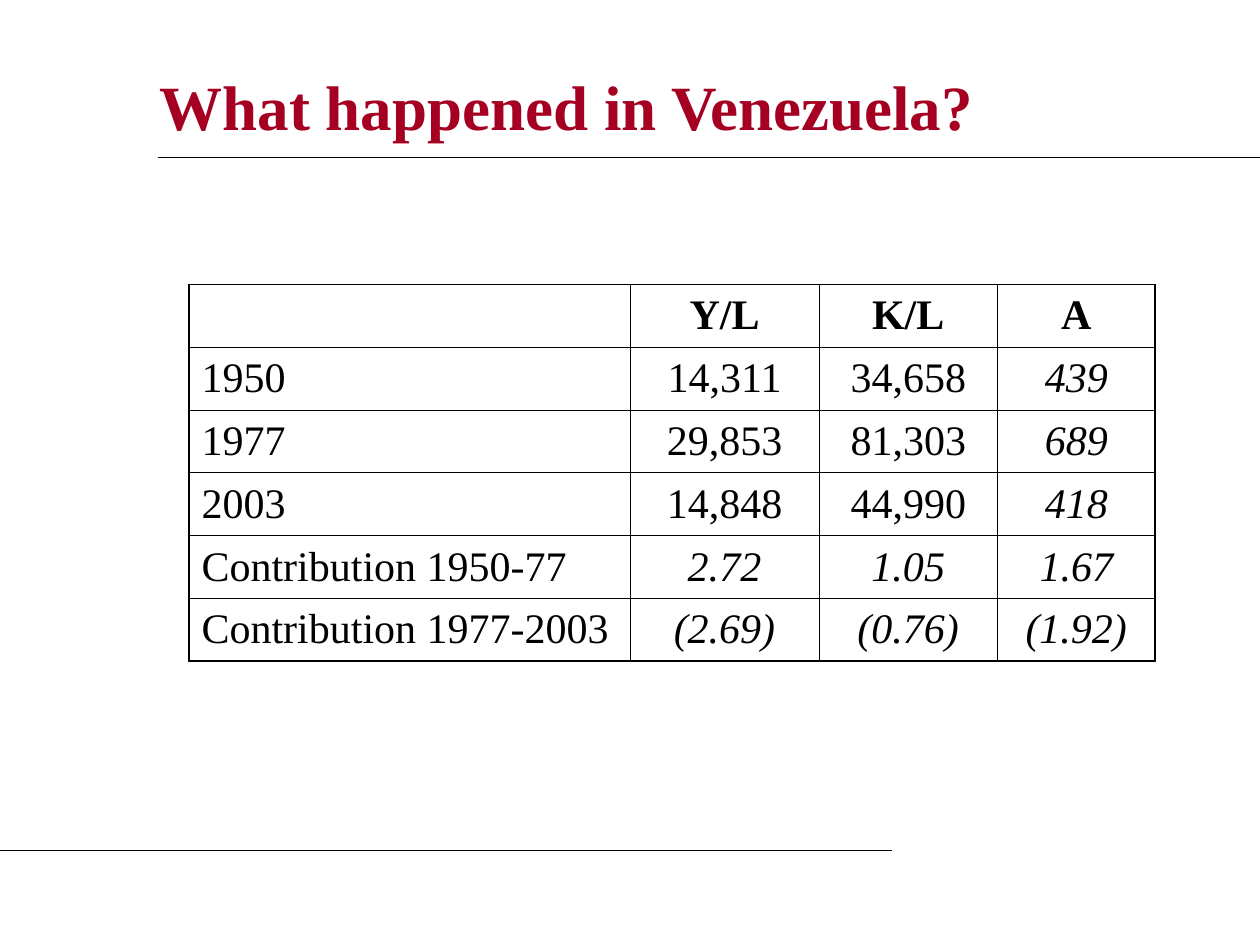
import pptx
import pptx.dml.color
import pptx.enum.shapes
import pptx.enum.text
import pptx.oxml
import pptx.oxml.ns
import pptx.util

Pt = pptx.util.Pt
ALIGN = pptx.enum.text.PP_ALIGN
MIDDLE = pptx.enum.text.MSO_ANCHOR.MIDDLE

CRIMSON = pptx.dml.color.RGBColor(0xA5, 0x00, 0x21)
BLACK = pptx.dml.color.RGBColor(0x00, 0x00, 0x00)
FONT = "Times New Roman"

INNER_BORDER = 0.45
OUTER_BORDER = 1.08
COLUMN_WIDTHS = (252, 108, 102, 90)
ROW_HEIGHT = 35.9
ROWS = (
    ("", "Y/L", "K/L", "A"),
    ("1950", "14,311", "34,658", "439"),
    ("1977", "29,853", "81,303", "689"),
    ("2003", "14,848", "44,990", "418"),
    ("Contribution 1950-77", "2.72", "1.05", "1.67"),
    ("Contribution 1977-2003", "(2.69)", "(0.76)", "(1.92)"),
)
FIRST_CONTRIBUTION_ROW = 4


def write_text(para, text, color, **font_format):
    span = para.add_run()
    span.text = text
    span.font.color.rgb = color
    for name, value in {"name": FONT, **font_format}.items():
        setattr(span.font, name, value)


def set_title(page, text):
    title = page.shapes.title
    place = {"left": 84, "top": 18, "width": 612, "height": 84.25}
    for name, value in place.items():
        setattr(title, name, Pt(value))
    title.text_frame.vertical_anchor = MIDDLE
    para = title.text_frame.paragraphs[0]
    para.alignment = ALIGN.LEFT
    write_text(para, text, CRIMSON, size=Pt(36), bold=True)


def add_rule(page, left, right, y):
    """Draw a thin horizontal line across the page."""
    rule = page.shapes.add_connector(
        pptx.enum.shapes.MSO_CONNECTOR.STRAIGHT, Pt(left), Pt(y), Pt(right), Pt(y)
    )
    rule.line.color.rgb = BLACK
    rule.line.width = Pt(0.75)
    rule._element.spPr.append(
        pptx.oxml.parse_xml(f"<a:effectLst {pptx.oxml.ns.nsdecls('a')}/>")
    )


def set_borders(cell, widths):
    """Give the cell a solid border on each side; widths maps L, R, T, B to points."""
    properties = cell._tc.get_or_add_tcPr()
    for side, width in widths.items():
        properties.append(pptx.oxml.parse_xml(
            f"<a:ln{side} {pptx.oxml.ns.nsdecls('a')} w='{Pt(width)}'>"
            f"<a:solidFill><a:srgbClr val='{BLACK}'/></a:solidFill></a:ln{side}>"
        ))


def fill_cell(cell, text, row, column):
    last_row, last_column = len(ROWS) - 1, len(COLUMN_WIDTHS) - 1
    on_edge = {
        "L": column == 0,
        "R": column == last_column,
        "T": row == 0,
        "B": row == last_row,
    }
    set_borders(cell, {
        side: OUTER_BORDER if outer else INNER_BORDER for side, outer in on_edge.items()
    })
    cell.fill.background()
    cell.vertical_anchor = MIDDLE
    if not text:
        return
    para = cell.text_frame.paragraphs[0]
    para.alignment = ALIGN.CENTER if column else ALIGN.LEFT
    para.space_before = Pt(6)
    computed = column == last_column or (column > 0 and row >= FIRST_CONTRIBUTION_ROW)
    write_text(para, text, BLACK, size=Pt(24), bold=row == 0, italic=row > 0 and computed)


def add_growth_table(page, left, top):
    table = page.shapes.add_table(
        len(ROWS), len(COLUMN_WIDTHS), Pt(left), Pt(top),
        Pt(sum(COLUMN_WIDTHS)), Pt(ROW_HEIGHT * len(ROWS)),
    ).table
    table.first_row = False
    table.horz_banding = False
    for column, width in enumerate(COLUMN_WIDTHS):
        table.columns[column].width = Pt(width)
    for row, texts in enumerate(ROWS):
        table.rows[row].height = Pt(ROW_HEIGHT)
        for column, text in enumerate(texts):
            fill_cell(table.cell(row, column), text, row, column)


def main():
    deck = pptx.Presentation()
    deck.slide_width, deck.slide_height = Pt(720), Pt(540)
    page = deck.slides.add_slide(deck.slide_layouts.get_by_name("Title Only"))
    set_title(page, "What happened in Venezuela?")
    add_rule(page, 90, 720, 90)
    add_rule(page, 0, 510, 486)
    add_growth_table(page, 108, 162.5)
    deck.save("out.pptx")


if __name__ == "__main__":
    main()
